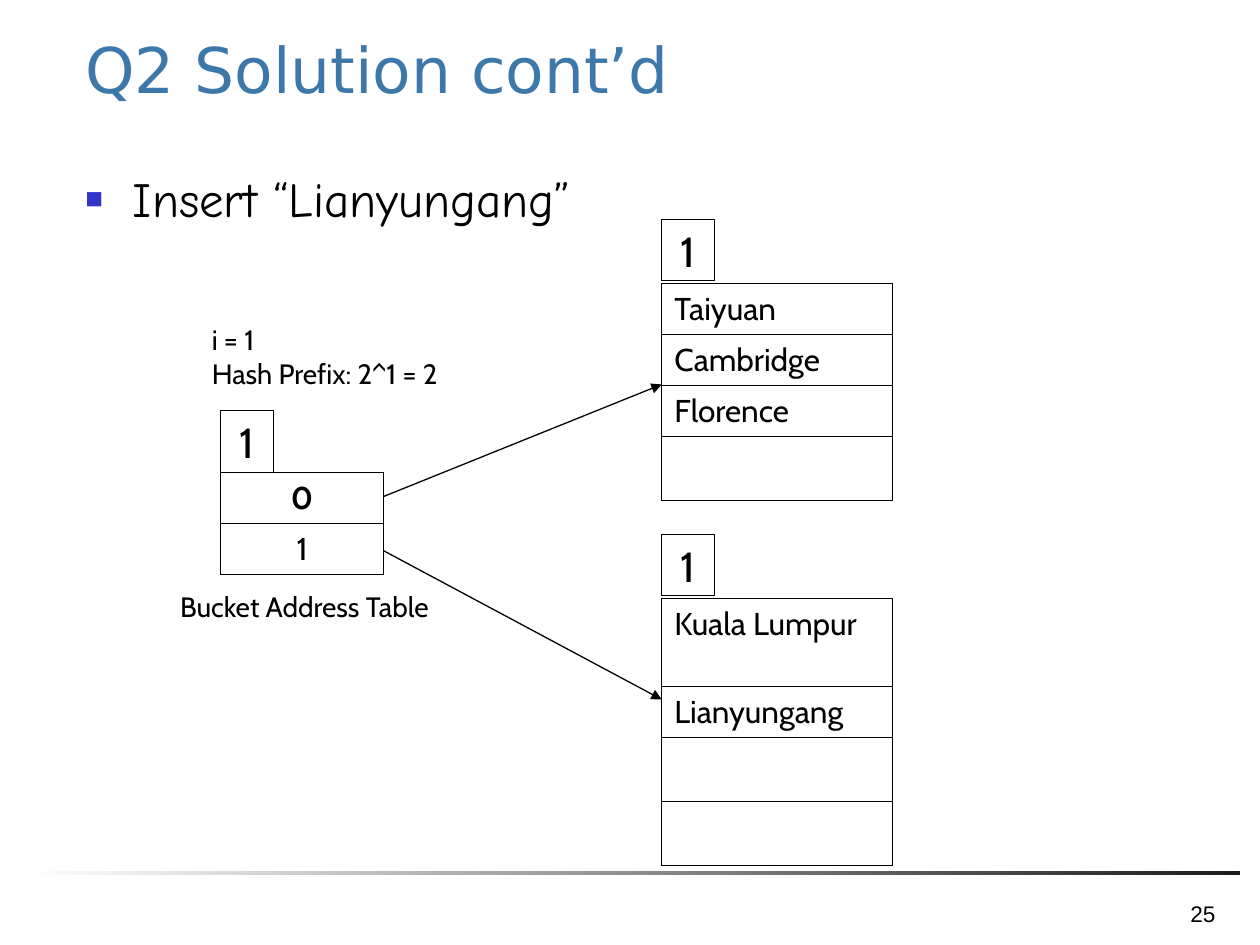
from lxml.etree import SubElement
from pptx import Presentation
from pptx.dml.color import RGBColor as Rgb
from pptx.enum.shapes import MSO_CONNECTOR as Connector, MSO_SHAPE as Preset
from pptx.enum.text import MSO_ANCHOR as Anchor, PP_ALIGN as Align
from pptx.oxml.ns import qn
from pptx.util import Cm, Pt

COLOURS = {
    "title": "3C78AA",
    "bullet": "3333CC",
    "ink": "000000",
    "paper": "FFFFFF",
    "rule_end": "1C1C1C",
}
LINE_WIDTH = Pt(0.75)
ROW, EMPTY_ROW, TALL_ROW = 1.03, 1.29, 1.78
BADGE_WIDTH, BADGE_HEIGHT = 1.07, 1.24

TITLE = {"name": "DejaVu Sans", "size": Pt(36)}
BULLET = {"name": "Comic Neue", "size": Pt(28)}
NUMBER = {"name": "Arial", "size": Pt(12.9)}
ENTRY = {"name": "Cabin", "size": Pt(18)}
NOTE = {"name": "Cabin", "size": Pt(16)}
DEPTH = {"name": "Cabin", "size": Pt(24)}


def colour(name):
    return Rgb.from_string(COLOURS[name])


def set_attributes(target, values):
    for name, value in values.items():
        setattr(target, name, value)


def write(paragraph, text, style, ink="ink", align=Align.LEFT):
    paragraph.alignment = align
    run = paragraph.add_run()
    run.text = text
    set_attributes(run.font, style)
    run.font.color.rgb = colour(ink)


def add_text(slide, box, lines, style, ink="ink", align=Align.LEFT, anchor=Anchor.TOP):
    frame = slide.shapes.add_textbox(*map(Cm, box)).text_frame
    set_attributes(frame, {"word_wrap": True, "vertical_anchor": anchor})
    for index, line in enumerate(lines):
        paragraph = frame.add_paragraph() if index else frame.paragraphs[0]
        write(paragraph, line, style, ink, align)
    return frame


def add_heading(slide, box, title, point):
    left, top, width, height = box
    add_text(slide, (left, top, width, 2.36), [title], TITLE, "title", anchor=Anchor.MIDDLE)
    point_box = (left, top + 3.08, width, height - 3.08)
    paragraph = add_text(slide, point_box, [point], BULLET).paragraphs[0]
    properties = paragraph._p.get_or_add_pPr()
    properties.set("marL", str(Cm(0.96)))
    properties.set("indent", str(-Cm(0.96)))
    bullet_colour = SubElement(properties, qn("a:buClr"))
    SubElement(bullet_colour, qn("a:srgbClr"), val=COLOURS["bullet"])
    SubElement(properties, qn("a:buSzPct"), val="60000")
    SubElement(properties, qn("a:buFont"), typeface="Arial")
    SubElement(properties, qn("a:buChar"), char="■")


def add_footer(slide, box, number):
    left, top, width, height = box
    rule = slide.shapes.add_shape(Preset.RECTANGLE, *map(Cm, (left, top, width, 0.09)))
    rule.shadow.inherit = False
    rule.line.fill.background()
    rule.fill.gradient()
    rule.fill.gradient_angle = 0
    for stop, name in zip(rule.fill.gradient_stops, ("paper", "rule_end")):
        stop.color.rgb = colour(name)
    for position, stop in enumerate(rule.fill.gradient_stops):
        stop.position = position
    number_box = (left + width - 1.51, top + 0.43, 1.27, height - 0.43)
    add_text(slide, number_box, [number], NUMBER, align=Align.RIGHT, anchor=Anchor.BOTTOM)


def add_borders(cell):
    properties = cell._tc.get_or_add_tcPr()
    for index, side in enumerate(("lnL", "lnR", "lnT", "lnB")):
        border = SubElement(properties, qn(f"a:{side}"), w=str(LINE_WIDTH))
        fill = SubElement(border, qn("a:solidFill"))
        SubElement(fill, qn("a:srgbClr"), val=COLOURS["ink"])
        properties.remove(border)
        properties.insert(index, border)


def add_depth_badge(slide, left, top, depth):
    badge = slide.shapes.add_shape(
        Preset.RECTANGLE, *map(Cm, (left, top, BADGE_WIDTH, BADGE_HEIGHT)))
    badge.shadow.inherit = False
    badge.fill.background()
    badge.line.width = LINE_WIDTH
    badge.line.color.rgb = colour("ink")
    frame = badge.text_frame
    set_attributes(frame, {"word_wrap": False, "vertical_anchor": Anchor.TOP})
    write(frame.paragraphs[0], depth, DEPTH, align=Align.CENTER)


def add_depth_table(slide, box, depth, rows, gap=0.05, align=Align.LEFT):
    left, top, width = box
    add_depth_badge(slide, left, top, depth)
    table_top = top + BADGE_HEIGHT + gap
    height = sum(row_height for _, row_height, _ in rows)
    table = slide.shapes.add_table(
        len(rows), 1, *map(Cm, (left, table_top, width, height))).table
    set_attributes(table, {"first_row": False, "horz_banding": False})
    for index, (text, row_height, bold) in enumerate(rows):
        table.rows[index].height = Cm(row_height)
        cell = table.cell(index, 0)
        cell.fill.background()
        add_borders(cell)
        if text:
            write(cell.text_frame.paragraphs[0], text, ENTRY | {"bold": bold}, align=align)


def add_arrow(slide, start, end):
    arrow = slide.shapes.add_connector(Connector.STRAIGHT, *map(Cm, start + end))
    arrow.line.width = LINE_WIDTH
    arrow.line.color.rgb = colour("ink")
    SubElement(arrow.line._get_or_add_ln(), qn("a:tailEnd"), type="triangle")
    SubElement(arrow._element.spPr, qn("a:effectLst"))


def add_address_table(slide, box):
    left, top, width = box
    add_text(slide, (left - 0.43, top - 1.9, 6.35, 1.63),
             ["i = 1", "Hash Prefix: 2^1 = 2"], NOTE)
    add_depth_table(slide, box, "1", [("0", ROW, True), ("1", ROW, False)],
                    gap=0, align=Align.CENTER)
    add_text(slide, (left - 1.07, top + 3.48, 5.92, 1.63), ["Bucket Address Table"], NOTE)


def main():
    presentation = Presentation()
    set_attributes(presentation, {"slide_width": Cm(25.4), "slide_height": Cm(19.05)})
    slide = presentation.slides.add_slide(presentation.slide_layouts[6])
    add_heading(slide, (1.47, 0.2, 22.5, 5.7), "Q2 Solution cont’d", "Insert “Lianyungang”")
    add_footer(slide, (0.53, 17.55, 24.46, 1.27), "25")

    address_left, address_width, bucket_left, bucket_width = 4.45, 3.28, 13.34, 4.65
    add_address_table(slide, (address_left, 8.28, address_width))
    buckets = [
        (4.42, 10.01, 7.75, [("Taiyuan", ROW), ("Cambridge", ROW), ("Florence", ROW),
                             ("", EMPTY_ROW)]),
        (10.77, 11.1, 14.1, [("Kuala Lumpur", TALL_ROW), ("Lianyungang", ROW),
                             ("", EMPTY_ROW), ("", EMPTY_ROW)]),
    ]
    for top, arrow_start, arrow_end, entries in buckets:
        rows = [(text, row_height, False) for text, row_height in entries]
        add_depth_table(slide, (bucket_left, top, bucket_width), "1", rows)
        add_arrow(slide, (address_left + address_width, arrow_start), (bucket_left, arrow_end))
    presentation.save("out.pptx")


if __name__ == "__main__":
    main()
